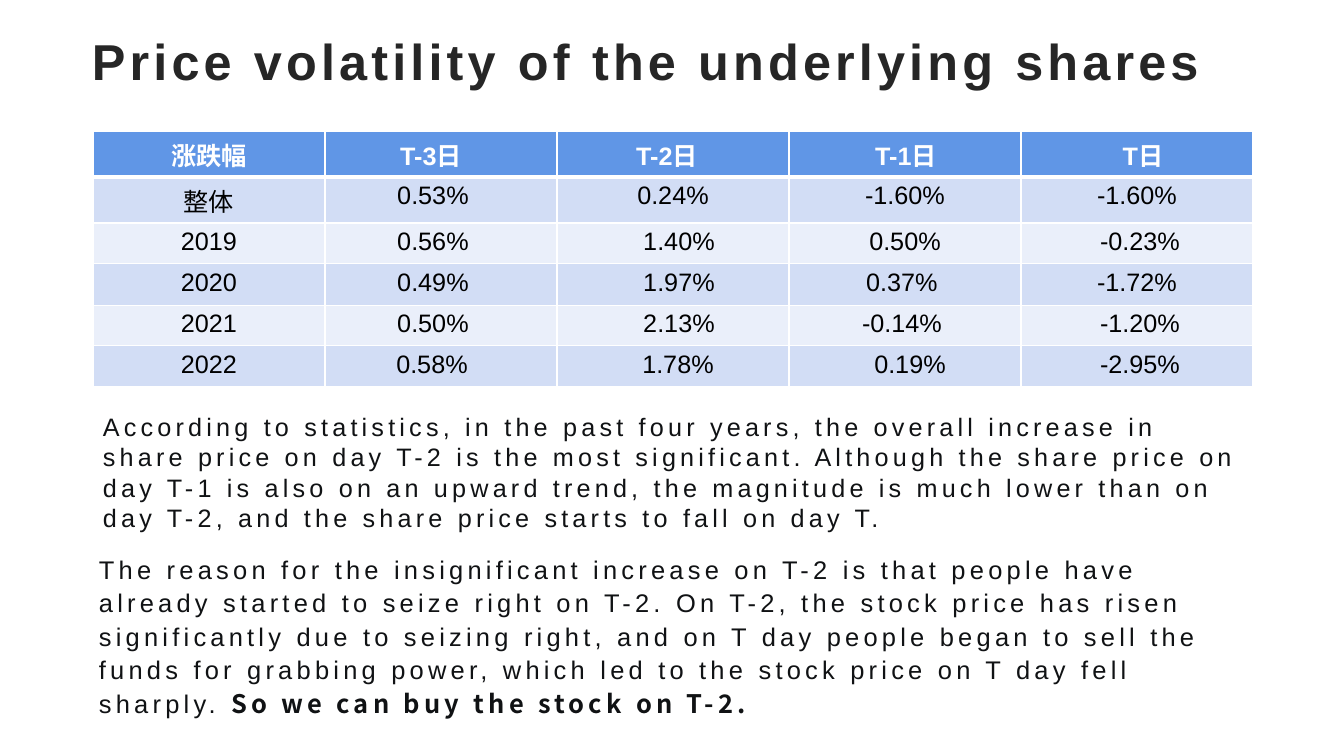
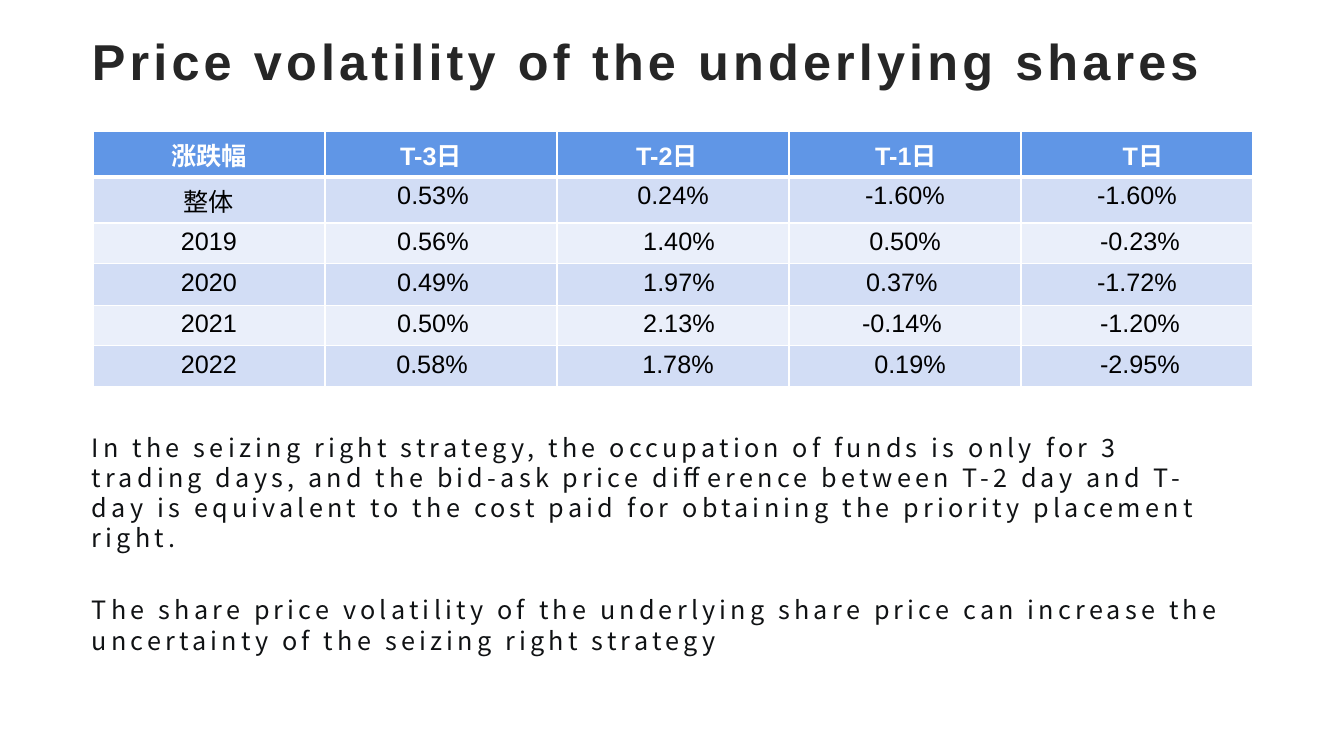
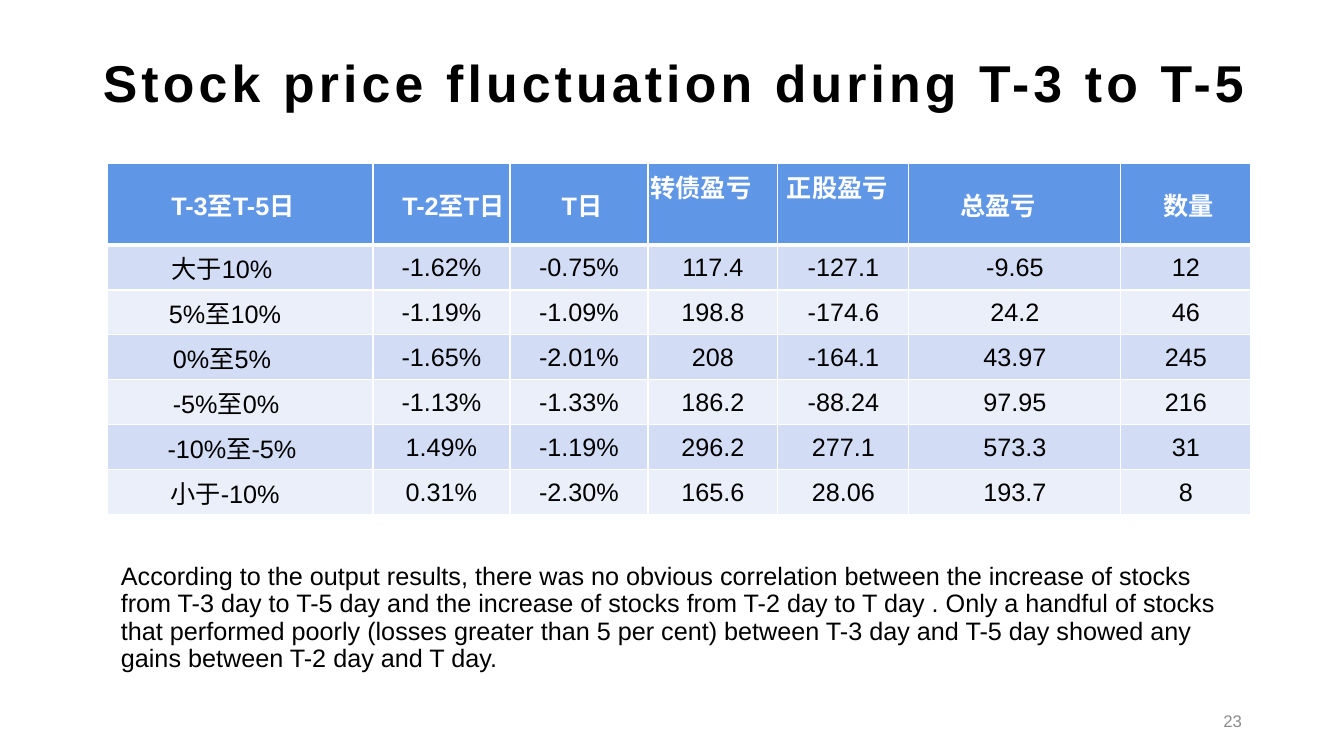
from dataclasses import dataclass

from lxml import etree
from pptx import Presentation
from pptx import util as u
from pptx.dml.color import RGBColor
from pptx.enum import text as t
from pptx.oxml.ns import qn

PX = 12192000 / 1344  # EMU in one px


def px(n):
    return u.Emu(round(n * PX))


@dataclass(frozen=True)
class Theme:
    sans: str = "Arial"
    cjk: str = "Noto Sans CJK SC"
    white: str = "FFFFFF"
    black: str = "000000"
    dark: str = "262626"
    ink: str = "101214"
    gray: str = "8C8C8C"
    head: str = "6096E6"
    bands: tuple = ("D2DDF5", "EAEFFA")
    big: float = 36
    body: float = 18
    small: float = 12
    track: int = 300  # letter spacing, hundredths of a point
    lead: float = 21.5


class Deck:
    def __init__(self, theme):
        self.th = theme
        self.prs = Presentation()
        self.prs.slide_width, self.prs.slide_height = px(1344), px(756)
        self.slide = None

    def page(self):
        self.slide = self.prs.slides.add_slide(self.prs.slide_layouts[6])

    def run(self, para, words, size, color, bold=False, font=None, track=0):
        run = para.add_run()
        run.text = words
        f = run.font
        f.size, f.bold, f.name = u.Pt(size), bold, font or self.th.sans
        f.color.rgb = RGBColor.from_string(color)
        props = run._r.get_or_add_rPr()
        if track:
            props.set("spc", str(track))
        etree.SubElement(props, qn("a:ea")).set("typeface", self.th.cjk)

    def text(self, box, runs, mid=False, lead=None, align=t.PP_ALIGN.LEFT):
        """Each run is a dict of arguments for run()."""
        frame = self.slide.shapes.add_textbox(*map(px, box)).text_frame
        frame.word_wrap = True
        frame.vertical_anchor = t.MSO_ANCHOR.MIDDLE if mid else t.MSO_ANCHOR.TOP
        para = frame.paragraphs[0]
        para.alignment = align
        if lead:
            para.line_spacing = u.Pt(lead)
        for run in runs:
            self.run(para, **run)

    def title(self, words, box, size, color, mid=False):
        self.text(box, [dict(words=words, size=size, color=color, bold=True,
                             track=self.th.track)], mid)

    def note(self, words, box, font=None, mid=False):
        th = self.th
        self.text(box, [dict(words=words, size=th.body, color=th.ink, font=font,
                             track=th.track)], mid, th.lead)

    def edge(self, cell, side, width):
        line = etree.SubElement(cell._tc.get_or_add_tcPr(), qn("a:ln" + side))
        line.set("w", str(u.Pt(width)))
        fill = etree.SubElement(line, qn("a:solidFill"))
        etree.SubElement(fill, qn("a:srgbClr")).set("val", self.th.white)

    def cell(self, cell, words, row, shift, pad, anchor):
        th = self.th
        for side in "LRTB":
            thick = (row, side) in ((0, "B"), (1, "T"))
            self.edge(cell, side, 3 if thick else 1)
        cell.fill.solid()
        fill = th.bands[(row - 1) % 2] if row else th.head
        cell.fill.fore_color.rgb = RGBColor.from_string(fill)
        # A wider margin on one side moves centred text the other way
        cell.margin_left = px(pad[0] + max(0, 2 * shift))
        cell.margin_right = px(pad[0] + max(0, -2 * shift))
        cell.margin_top = cell.margin_bottom = px(pad[1])
        cell.vertical_anchor = anchor
        para = cell.text_frame.paragraphs[0]
        para.alignment = t.PP_ALIGN.CENTER
        self.run(para, words, th.body, th.black if row else th.white, not row)

    def table(self, spot, cols, rows, data, shifts, pad, mid=False, high=()):
        """high lists the header columns that sit at the top of the cell."""
        size = (sum(cols), sum(rows))
        grid = self.slide.shapes.add_table(
            len(rows), len(cols), *map(px, spot + size)).table
        grid.first_row = grid.horz_banding = False
        for col, wide in zip(grid.columns, cols):
            col.width = px(wide)
        for row, tall in zip(grid.rows, rows):
            row.height = px(tall)
        base = t.MSO_ANCHOR.MIDDLE if mid else t.MSO_ANCHOR.TOP
        for r, (line, moves) in enumerate(zip(data, shifts)):
            for c, (words, move) in enumerate(zip(line, moves)):
                top = r == 0 and c in high
                self.cell(grid.cell(r, c), words, r, move,
                          (pad[0], 5) if top else pad,
                          t.MSO_ANCHOR.TOP if top else base)


# Daily price change, by year
YEARS = [
    ("涨跌幅", "T-3日", "T-2日", "T-1日", "T日"),
    ("整体", "0.53%", "0.24%", "-1.60%", "-1.60%"),
    ("2019", "0.56%", "1.40%", "0.50%", "-0.23%"),
    ("2020", "0.49%", "1.97%", "0.37%", "-1.72%"),
    ("2021", "0.50%", "2.13%", "-0.14%", "-1.20%"),
    ("2022", "0.58%", "1.78%", "0.19%", "-2.95%"),
]
YEAR_MOVES = [
    (0, -10, -6, 1, 6),
    (0, -8, 0, 0, 0),
    (0, -8, 6, 0, 3),
    (0, -8, 6, -3, 0),
    (0, -8, 6, -3, 3),
    (0, -9, 5, 5, 3),
]

# Profit and loss, by earlier price change
RANGES = [
    ("T-3至T-5日", "T-2至T日", "T日", "转债盈亏", "正股盈亏", "总盈亏", "数量"),
    ("大于10%", "-1.62%", "-0.75%", "117.4", "-127.1", "-9.65", "12"),
    ("5%至10%", "-1.19%", "-1.09%", "198.8", "-174.6", "24.2", "46"),
    ("0%至5%", "-1.65%", "-2.01%", "208", "-164.1", "43.97", "245"),
    ("-5%至0%", "-1.13%", "-1.33%", "186.2", "-88.24", "97.95", "216"),
    ("-10%至-5%", "1.49%", "-1.19%", "296.2", "277.1", "573.3", "31"),
    ("小于-10%", "0.31%", "-2.30%", "165.6", "28.06", "193.7", "8"),
]
RANGE_MOVES = [(-7, 12, 3, -12, -6, -17, 3)] + [
    (move,) + (0,) * 6 for move in (-18, -15, -18, -14, -8, -15)]


def years(deck):
    """Title and table shared by the first two slides."""
    deck.page()
    deck.title("Price volatility of the underlying shares",
               (82, 25, 1170, 72), deck.th.big, deck.th.dark)
    deck.table((93, 131), [232] * 5, [46, 46, 40, 42, 40, 41],
               YEARS, YEAR_MOVES, (10, 5))


def main():
    th = Theme()
    deck = Deck(th)

    # Slide 1: yearly figures and the reason
    years(deck)
    deck.note("According to statistics, in the past four years, the overall "
              "increase in share price on day T-2 is the most significant. "
              "Although the share price on day T-1 is also on an upward trend, "
              "the magnitude is much lower than on day T-2, and the share price "
              "starts to fall on day T.", (93, 398, 1159, 148), mid=True)
    look = dict(size=18.2, color=th.ink, track=th.track)
    deck.text((89, 546, 1166, 210), [
        dict(words="The reason for the insignificant increase on T-2 is that "
             "people have already started to seize right on T-2. On T-2, the "
             "stock price has risen significantly due to seizing right, and on "
             "T day people began to sell the funds for grabbing power, which "
             "led to the stock price on T day fell sharply. ", **look),
        dict(words="So we can buy the stock on T-2.", bold=True, font=th.cjk,
             **look)], lead=23.9)

    # Slide 2: yearly figures and the strategy
    years(deck)
    deck.note("In the seizing right strategy, the occupation of funds is only "
              "for 3 trading days, and the bid-ask price difference between T-2 "
              "day and T-day is equivalent to the cost paid for obtaining the "
              "priority placement right.", (82, 427, 1167, 146), th.cjk)
    deck.note("The share price volatility of the underlying share price can "
              "increase the uncertainty of the seizing right strategy",
              (82, 552, 1198, 146), th.cjk, mid=True)

    # Slide 3: results by range
    deck.page()
    deck.title("Stock price fluctuation during T-3 to T-5",
               (93, 20, 1180, 123), 37, th.black, mid=True)
    deck.table((107, 163), [266, 137, 138, 130, 131, 212, 130],
               [82] + [45] * 6, RANGES, RANGE_MOVES, (1, 1), True, (3, 4))
    deck.text((111, 561, 1140, 114), [dict(
        words="According to the output results, there was no obvious "
        "correlation between the increase of stocks from T-3 day to T-5 day and "
        "the increase of stocks from T-2 day to T day . Only a handful of "
        "stocks that performed poorly (losses greater than 5 per cent) between "
        "T-3 day and T-5 day showed any gains between T-2 day and T day.",
        size=th.body, color=th.black)], True, 19.4)
    deck.text((950, 701, 302, 40),
              [dict(words="23", size=th.small, color=th.gray)],
              True, align=t.PP_ALIGN.RIGHT)

    deck.prs.save("out.pptx")


if __name__ == "__main__":
    main()
